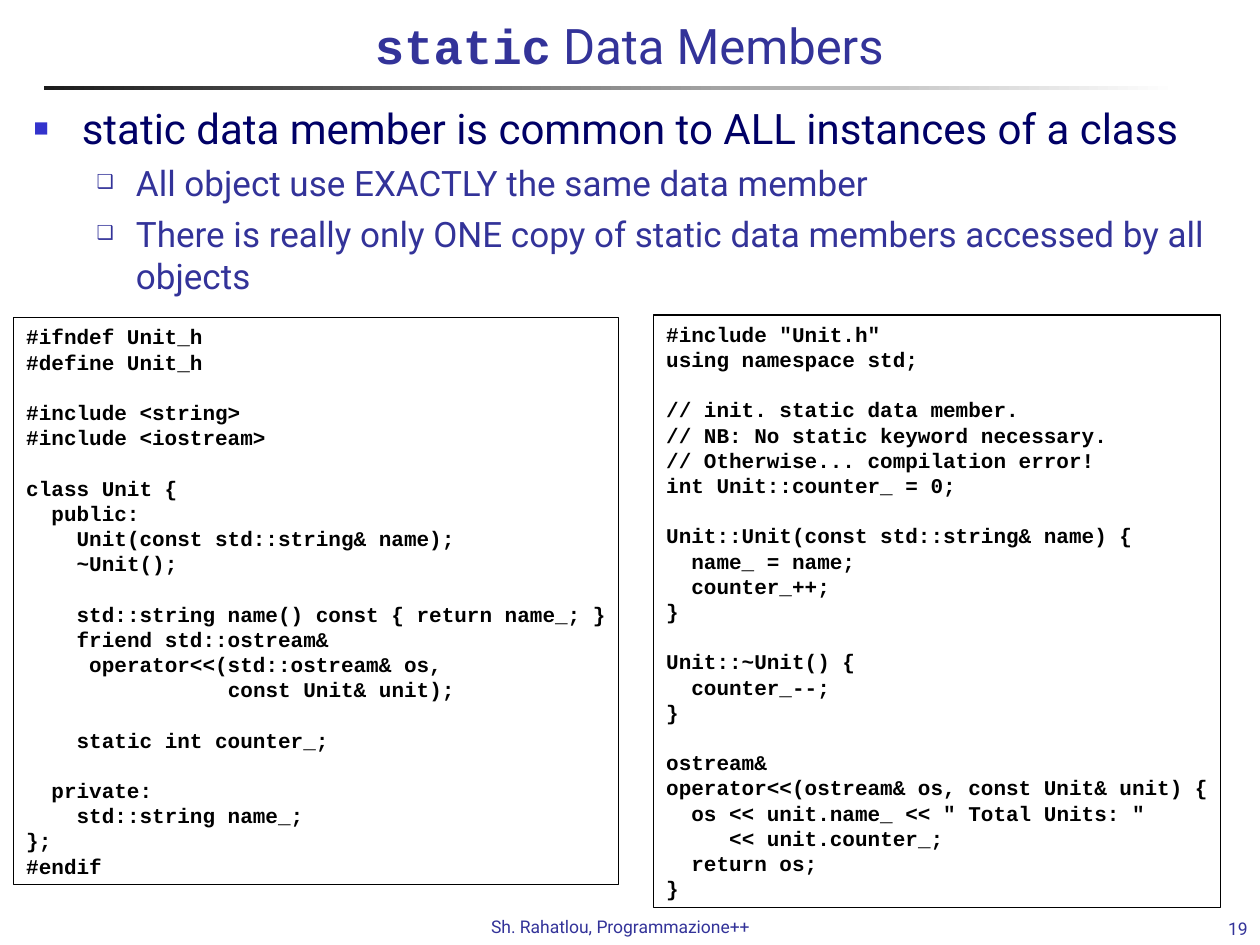
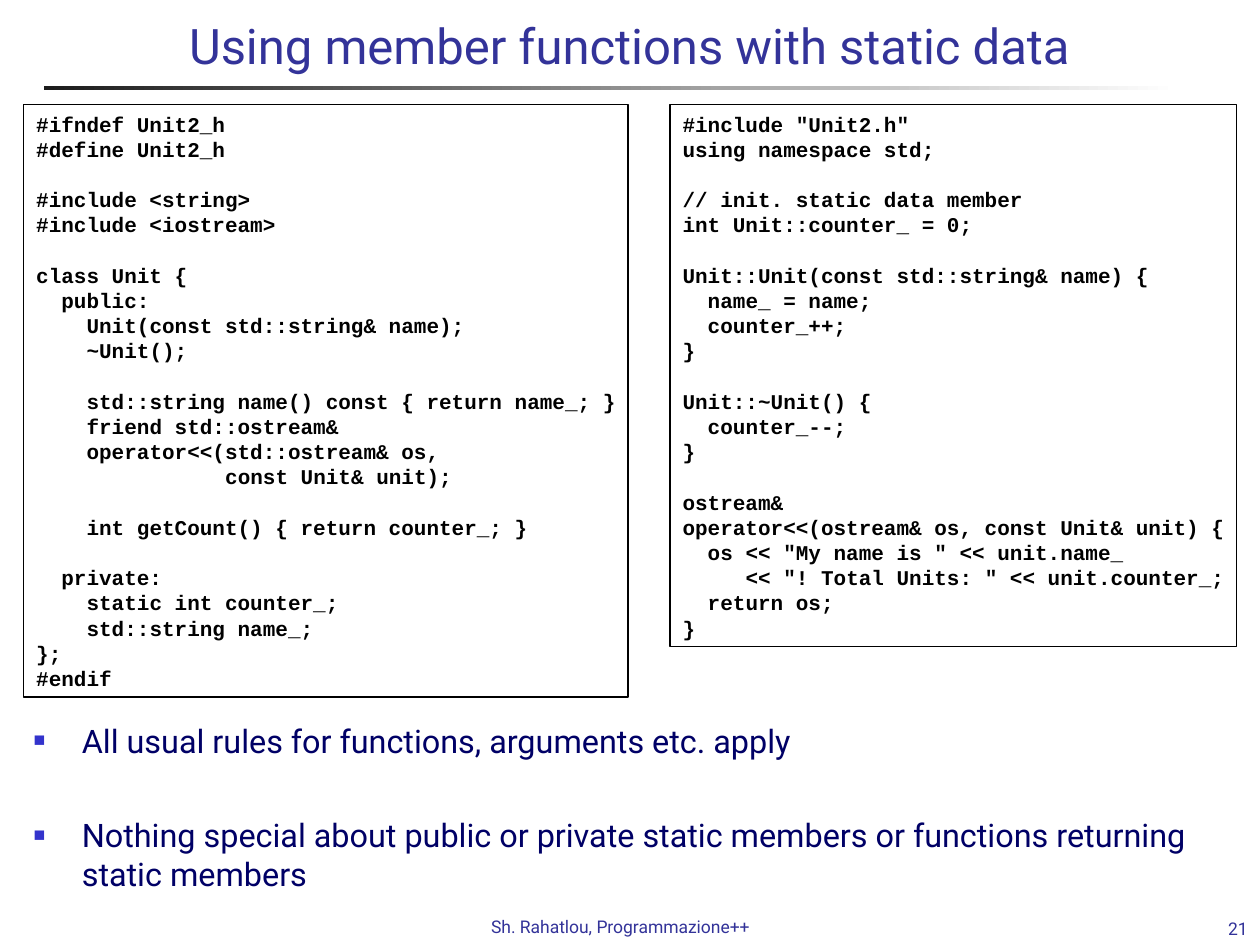
from lxml import etree
from pptx import Presentation
from pptx.dml.color import RGBColor
from pptx.enum.shapes import MSO_SHAPE
from pptx.enum.text import MSO_ANCHOR, MSO_AUTO_SIZE, PP_ALIGN
from pptx.oxml.ns import qn
from pptx.util import Cm, Pt

# Shared style
INDIGO, NAVY, BLUE = "333399", "000066", "3333CC"
BLACK, CHARCOAL, WHITE = "000000", "1C1C1C", "FFFFFF"
SANS, MONO = "Roboto", "Courier New"
LEADING = 1.2
CODE_SIZE = 12
CODE_LINE = Pt(CODE_SIZE * LEADING)
CODE_CHAR = Pt(CODE_SIZE * 0.6)
INSET_X, INSET_Y = Cm(0.25), Cm(0.13)

# List levels: bullet, its colour and size, text colour, left margin, hanging indent
LEVELS = [
    ("■", BLUE, 60, NAVY, Cm(0.97), Cm(0.97)),
    ("❑", INDIGO, 55, INDIGO, Cm(2.06), Cm(0.79)),
]

UNIT_HEADER = """\
#ifndef Unit_h
#define Unit_h

#include <string>
#include <iostream>

class Unit {
  public:
    Unit(const std::string& name);
    ~Unit();

    std::string name() const { return name_; }
    friend std::ostream&
     operator<<(std::ostream& os,
                const Unit& unit);

    static int counter_;

  private:
    std::string name_;
};
#endif"""

UNIT_SOURCE = """\
#include "Unit.h"
using namespace std;

// init. static data member.
// NB: No static keyword necessary.
// Otherwise... compilation error!
int Unit::counter_ = 0;

Unit::Unit(const std::string& name) {
  name_ = name;
  counter_++;
}

Unit::~Unit() {
  counter_--;
}

ostream&
operator<<(ostream& os, const Unit& unit) {
  os << unit.name_ << " Total Units: "
     << unit.counter_;
  return os;
}"""

UNIT2_HEADER = """\
#ifndef Unit2_h
#define Unit2_h

#include <string>
#include <iostream>

class Unit {
  public:
    Unit(const std::string& name);
    ~Unit();

    std::string name() const { return name_; }
    friend std::ostream&
    operator<<(std::ostream& os,
               const Unit& unit);

    int getCount() { return counter_; }

  private:
    static int counter_;
    std::string name_;
};
#endif"""

UNIT2_SOURCE = """\
#include "Unit2.h"
using namespace std;

// init. static data member
int Unit::counter_ = 0;

Unit::Unit(const std::string& name) {
  name_ = name;
  counter_++;
}

Unit::~Unit() {
  counter_--;
}

ostream&
operator<<(ostream& os, const Unit& unit) {
  os << "My name is " << unit.name_
     << "! Total Units: " << unit.counter_;
  return os;
}"""


def color(value):
    return RGBColor.from_string(value)


def set_font(font, name, size, value, bold=False):
    font.name, font.size, font.bold = name, Pt(size), bold
    font.color.rgb = color(value)


def place(shape, left, top, width, height):
    shape.left, shape.top = left, top
    shape.width, shape.height = width, height


def set_insets(frame):
    frame.margin_left = frame.margin_right = INSET_X
    frame.margin_top = frame.margin_bottom = INSET_Y


def add_bullet(paragraph, char, value, percent):
    properties = paragraph._p.get_or_add_pPr()
    tint = etree.SubElement(properties, qn("a:buClr"))
    etree.SubElement(tint, qn("a:srgbClr"), val=value)
    etree.SubElement(properties, qn("a:buSzPct"), val=str(percent * 1000))
    etree.SubElement(properties, qn("a:buChar"), char=char)


class Lecture:
    def __init__(self):
        self.deck = Presentation()
        self.deck.slide_width, self.deck.slide_height = Cm(25.4), Cm(19.05)
        self.page = None

    def new_page(self, number):
        first = self.page is None
        self.page = self.deck.slides.add_slide(self.deck.slide_layouts[1])
        if first:
            self.fill_master()
        box = self.label(str(number), Cm(22.66), Cm(18.42), Cm(2.74), Cm(0.64))
        box.text_frame.vertical_anchor = MSO_ANCHOR.BOTTOM
        box.text_frame.paragraphs[0].alignment = PP_ALIGN.RIGHT

    def fill_master(self):
        """Build the title rule and footer, then move them to the master."""
        footer = self.label("Sh. Rahatlou, Programmazione++",
                            Cm(9.65), Cm(18.34), Cm(6.02), Cm(0.69), wrap=False)
        tree = self.deck.slide_master.shapes.element
        for shape in (self.title_rule(), footer):
            tree.append(shape.element)

    def title_rule(self):
        rule = self.page.shapes.add_shape(
            MSO_SHAPE.RECTANGLE, Cm(0.89), Cm(1.73), Cm(22.86), Cm(0.09))
        rule.shadow.inherit = False
        rule.line.fill.background()
        rule.fill.gradient()
        rule.fill.gradient_angle = 0
        for stop, value in zip(rule.fill.gradient_stops, (CHARCOAL, WHITE)):
            stop.color.rgb = color(value)
        return rule

    def label(self, text, left, top, width, height, wrap=True):
        box = self.page.shapes.add_textbox(left, top, width, height)
        frame = box.text_frame
        frame.word_wrap = wrap
        set_insets(frame)
        para = frame.paragraphs[0]
        para.text = text
        set_font(para.font, SANS, 10, INDIGO)
        return box

    def title(self, text, keyword=""):
        title = self.page.shapes.title
        place(title, Cm(1.47), Cm(0.05), Cm(22.43), Cm(1.7))
        frame = title.text_frame
        frame.auto_size = MSO_AUTO_SIZE.NONE
        frame.vertical_anchor = MSO_ANCHOR.MIDDLE
        para = frame.paragraphs[0]
        para.alignment = PP_ALIGN.CENTER
        if keyword:
            span = para.add_run()
            span.text = keyword
            set_font(span.font, MONO, 28, INDIGO, bold=True)
        span = para.add_run()
        span.text = text
        set_font(span.font, SANS, 28, INDIGO)

    def bullets(self, items, top, height):
        """Items are (level, text, size, space before)."""
        body = self.page.placeholders[1]
        place(body, Cm(0.43), top, Cm(24.46), height)
        frame = body.text_frame
        frame.auto_size = MSO_AUTO_SIZE.NONE
        frame.vertical_anchor = MSO_ANCHOR.TOP
        set_insets(frame)
        for index, (level, text, size, before) in enumerate(items):
            para = frame.add_paragraph() if index else frame.paragraphs[0]
            char, tint, percent, value, margin, hanging = LEVELS[level]
            para.text, para.level = text, level
            para.space_before = Pt(before)
            para.line_spacing = Pt(size * LEADING)
            properties = para._p.get_or_add_pPr()
            properties.set("marL", str(margin))
            properties.set("indent", str(-hanging))
            add_bullet(para, char, tint, percent)
            set_font(para.font, SANS, size, value)

    def code(self, source, left, top):
        """Frame a listing; the box is sized by its lines and longest line."""
        lines = source.splitlines()
        width = max(map(len, lines)) * CODE_CHAR + 2 * INSET_X
        height = len(lines) * CODE_LINE + 2 * INSET_Y
        box = self.page.shapes.add_shape(
            MSO_SHAPE.RECTANGLE, left, top, width, height)
        box.shadow.inherit = False
        box.fill.background()
        box.line.color.rgb = color(BLACK)
        box.line.width = Pt(0.75)
        frame = box.text_frame
        frame.word_wrap = False
        frame.vertical_anchor = MSO_ANCHOR.TOP
        set_insets(frame)
        para, gap = frame.paragraphs[0], 0
        for index, line in enumerate(lines):
            # Blank lines become spacing and leading spaces become a margin
            if not line:
                gap += CODE_LINE
                continue
            if index:
                para = frame.add_paragraph()
            para.text = line.lstrip()
            para.alignment = PP_ALIGN.LEFT
            para.line_spacing = CODE_LINE
            para.space_before, gap = gap, 0
            margin = (len(line) - len(para.text)) * CODE_CHAR
            para._p.get_or_add_pPr().set("marL", str(margin))
            set_font(para.font, MONO, CODE_SIZE, BLACK, bold=True)


def main():
    lecture = Lecture()

    # Static data members
    lecture.new_page(19)
    lecture.title(" Data Members", keyword="static")
    lecture.bullets([
        (0, "static data member is common to ALL instances of a class", 24, 6),
        (1, "All object use EXACTLY the same data member", 20, 5),
        (1, "There is really only ONE copy of static data members "
            "accessed by all objects", 20, 5),
    ], Cm(1.93), Cm(4.19))
    lecture.code(UNIT_HEADER, Cm(0.28), Cm(6.4))
    lecture.code(UNIT_SOURCE, Cm(13.18), Cm(6.35))

    # Member functions using static data
    lecture.new_page(21)
    lecture.title("Using member functions with static data")
    lecture.bullets([
        (0, "All usual rules for functions, arguments etc. apply", 18.5, 5),
        (0, "Nothing special about public or private static members or "
            "functions returning static members", 18.5, 32),
    ], Cm(14.4), Cm(3.81))
    lecture.code(UNIT2_HEADER, Cm(0.48), Cm(2.11))
    lecture.code(UNIT2_SOURCE, Cm(13.51), Cm(2.11))

    lecture.deck.save("out.pptx")


if __name__ == "__main__":
    main()
